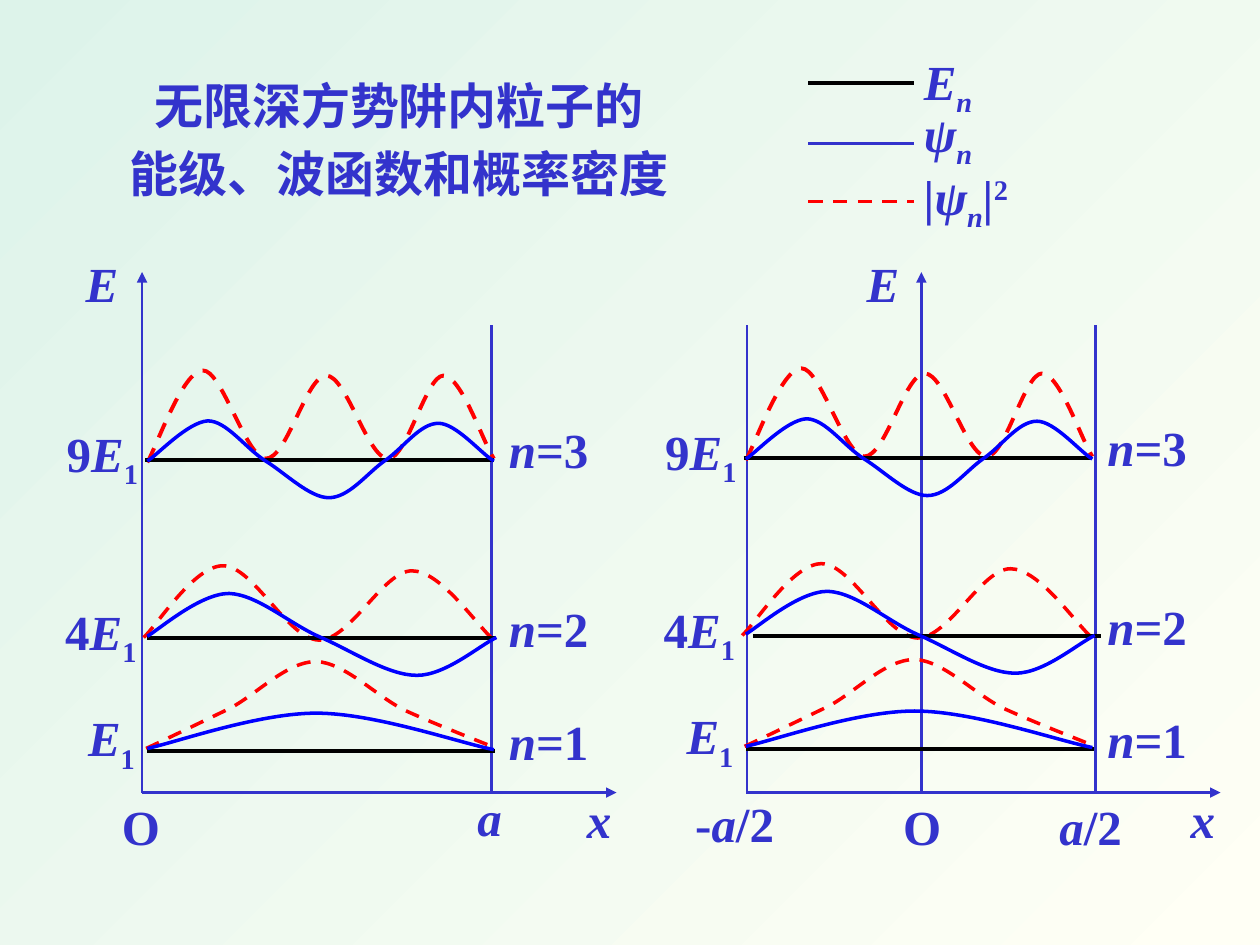
from dataclasses import dataclass

from lxml import etree
from pptx import Presentation
from pptx.dml.color import RGBColor
from pptx.enum.dml import MSO_LINE
from pptx.enum.shapes import MSO_CONNECTOR
from pptx.enum.text import MSO_ANCHOR, MSO_AUTO_SIZE, PP_ALIGN
from pptx.oxml.ns import qn
from pptx.util import Pt

STRAIGHT = MSO_CONNECTOR.STRAIGHT
DASH = MSO_LINE.DASH
CENTER = PP_ALIGN.CENTER
MIDDLE = MSO_ANCHOR.MIDDLE
FIT_SHAPE = MSO_AUTO_SIZE.SHAPE_TO_FIT_TEXT
NO_FIT = MSO_AUTO_SIZE.NONE


@dataclass(frozen=True)
class Theme:
    ink: RGBColor = RGBColor(0x33, 0x33, 0xCC)
    energy: RGBColor = RGBColor(0, 0, 0)
    wave: RGBColor = RGBColor(0, 0, 0xFF)
    density: RGBColor = RGBColor(0xFF, 0, 0)
    background: tuple = (RGBColor(0xDD, 0xF3, 0xEA), RGBColor(0xFF, 0xFF, 0xF5))
    font: str = "Times New Roman"
    size: int = 28


theme = Theme()
presentation = Presentation()
presentation.slide_width, presentation.slide_height = Pt(720), Pt(540)
slide = presentation.slides.add_slide(presentation.slide_layouts[5])

background = slide.background.fill
background.gradient()
background.gradient_angle = 315
for stop, color in zip(background.gradient_stops, theme.background):
    stop.color.rgb = color


def add_stroke(points, color, width, dashed=False, arrow=False):
    """Draw a straight line through two points, or a Bezier curve through 3n + 1."""
    points = [(Pt(x), Pt(y)) for x, y in points]
    if len(points) == 2:
        shape = slide.shapes.add_connector(STRAIGHT, *points[0], *points[1])
    else:
        builder = slide.shapes.build_freeform(*points[0])
        builder.add_line_segments(points[1:], close=False)
        shape = builder.convert_to_shape()
        shape.fill.background()
        shape.shadow.inherit = False
        segments = list(shape.element.iter(qn("a:lnTo")))
        for start in range(0, len(segments), 3):
            curve = etree.SubElement(segments[start].getparent(), qn("a:cubicBezTo"))
            for segment in segments[start:start + 3]:
                curve.append(segment[0])
                segment.getparent().remove(segment)
    shape.line.color.rgb = color
    shape.line.width = Pt(width)
    if dashed:
        shape.line.dash_style = DASH
    if arrow:
        etree.SubElement(shape.line._get_or_add_ln(), qn("a:tailEnd"), type="triangle")
    if len(points) == 2:
        etree.SubElement(shape.element.spPr, qn("a:effectLst"))


def add_label(left, top, width, runs):
    """Add one line of text; each run is (text, italic, baseline percent)."""
    box = slide.shapes.add_textbox(Pt(left), Pt(top), Pt(width), Pt(41))
    box.text_frame.word_wrap = False
    box.text_frame.auto_size = FIT_SHAPE
    paragraph = box.text_frame.paragraphs[0]
    for text, italic, baseline in runs:
        run = paragraph.add_run()
        run.text = text
        run.font.italic = italic
        if baseline:
            run.font._element.set("baseline", str(baseline * 1000))
    paragraph.font.name = theme.font
    paragraph.font.size = Pt(theme.size)
    paragraph.font.bold = True
    paragraph.font.color.rgb = theme.ink


# Title
title = slide.shapes.title
title.left, title.top, title.width, title.height = Pt(66), Pt(35), Pt(324), Pt(84)
title.text_frame.text = "无限深方势阱内粒子的\n能级、波函数和概率密度"
title.text_frame.word_wrap = False
title.text_frame.auto_size = NO_FIT
title.text_frame.vertical_anchor = MIDDLE
for paragraph in title.text_frame.paragraphs:
    paragraph.alignment = CENTER
    paragraph.line_spacing = 1.15
    paragraph.font.name = theme.font
    paragraph.font.size = Pt(theme.size)
    paragraph.font.bold = True
    paragraph.font.color.rgb = theme.ink

# Legend
sub_n = ("n", True, -25)
legend = [
    (47.5, theme.energy, False, 25.9, 44, [("E", True, 0), sub_n]),
    (82, theme.ink, False, 55.4, 53, [("ψ", True, 0), sub_n]),
    (115.2, theme.density, True, 91.4, 75,
     [("|ψ", True, 0), sub_n, ("|", True, 0), ("2", False, 30)]),
]
for y, color, dashed, label_top, label_width, runs in legend:
    add_stroke([(462, y), (522, y)], color, 2, dashed)
    add_label(520.8, label_top, label_width, runs)

# Levels of the left well: energy, label places, wave function, probability density
levels = [
    dict(n=1, energy=429.3, start=84.2, end=283, prefix="", label=(43.2, 401), width=42.5,
         n_top=403.2, density_width=2,
         wave=[(84.2, 427.7), (100.8, 424.1), (147.6, 407.5), (180.7, 407.5),
               (213.8, 407.5), (261.4, 424.1), (282.2, 428.4)],
         density=[(83.5, 427.7), (91.4, 424.1), (115.2, 412.6), (131.8, 404.6),
                  (147.6, 396), (164.2, 378), (180.7, 378), (197.3, 378.7),
                  (215.3, 398.2), (231.8, 406.1), (249.1, 414), (271.4, 422.6),
                  (282.2, 427)]),
    dict(n=2, energy=364.5, start=84.2, end=283, prefix="4", label=(30.2, 340), width=57,
         n_top=338.4, density_width=2,
         wave=[(84.2, 363.6), (91.4, 359.3), (114.5, 339.1), (131, 339.1),
               (147.6, 339.8), (166.3, 357.1), (183.6, 364.3), (201.6, 372.2),
               (221.8, 385.9), (238.3, 385.9), (254.9, 385.9), (274.3, 368.6),
               (283.7, 364.3)],
         density=[(82.1, 364.3), (90, 357.1), (110.9, 323.3), (127.4, 323.3),
                  (144.7, 323.3), (164.2, 365), (182.2, 365.8), (200.2, 365.8),
                  (218.9, 326.2), (235.4, 326.2), (252, 326.2), (272.2, 357.1),
                  (282.2, 365.8)]),
    dict(n=3, energy=262.8, start=83, end=282.2, prefix="9", label=(31, 238.3), width=57,
         n_top=236.2, density_width=2.25,
         wave=[(84.2, 263.5), (90, 259.9), (107.3, 241.2), (118.8, 240.5),
               (129.6, 240.5), (140.4, 256.3), (151.9, 263.5), (163.4, 270.7),
               (177.1, 284.4), (187.9, 284.4), (199.4, 284.4), (209.5, 270.7),
               (219.6, 263.5), (230.4, 256.3), (239.8, 241.9), (250.6, 241.9),
               (260.6, 241.9), (275, 259.2), (282.2, 263.5)],
         density=[(84.2, 264.2), (89.3, 255.6), (104.4, 211.7), (115.9, 211.7),
                  (126.7, 211), (140.4, 261.4), (151.9, 262.1), (164.2, 262.1),
                  (175, 214.6), (186.5, 214.6), (198, 214.6), (210.2, 262.1),
                  (221.8, 262.1), (232.6, 262.1), (243.4, 214.6), (253.4, 214.6),
                  (263.5, 214.6), (275.8, 252), (282.2, 262.1)]),
]

# Wells: shift of the levels, extra shift of the n=2 energy line, axes, walls, labels
FLOOR, AXIS_TOP, WALL_TOP = 452.9, 155.5, 185.8
wells = [
    dict(dx=0, dy=0, nudge=0, axis=81.2, floor=(81.2, 352.3), walls=[280.8],
         labels=[(41.8, 141.1, 33, [("E", True, 0)]),
                 (62.6, 451.4, 36, [("O", False, 0)]),
                 (265.7, 446.4, 29, [("a", True, 0)]),
                 (328.3, 447.8, 29, [("x", True, 0)])]),
    dict(dx=342, dy=-1.2, nudge=4.3, axis=526.5, floor=(426.4, 697.5), walls=[426.8, 625.9],
         labels=[(488.2, 141.1, 33, [("E", True, 0)]),
                 (509, 451.4, 36, [("O", False, 0)]),
                 (598.3, 451.4, 50.4, [("a", True, 0), ("/2", False, 0)]),
                 (673.2, 447.8, 29, [("x", True, 0)]),
                 (390.2, 450, 60, [("-", False, 0), ("a", True, 0), ("/2", False, 0)])]),
]
for well in wells:
    dx, dy = well["dx"], well["dy"]
    add_stroke([(well["axis"], FLOOR), (well["axis"], AXIS_TOP)], theme.ink, 1.5, arrow=True)
    add_stroke([(x, FLOOR) for x in well["floor"]], theme.ink, 1.5, arrow=True)
    for x in well["walls"]:
        add_stroke([(x, FLOOR), (x, WALL_TOP)], theme.ink, 1.5)
    for label in well["labels"]:
        add_label(*label)

    for level in levels:
        density, wave = ([(x + dx, y + dy) for x, y in level[curve]]
                         for curve in ("density", "wave"))
        nudge = well["nudge"] if level["n"] == 2 else 0
        energy = [(x + dx + nudge, level["energy"] + dy)
                  for x in (level["start"], level["end"])]
        add_stroke(density, theme.density, level["density_width"], dashed=True)
        add_stroke(energy, theme.energy, 2)
        add_stroke(wave, theme.wave, 2)
        left, top = level["label"]
        runs = [("E", True, 0), ("1", False, -25)]
        if level["prefix"]:
            runs.insert(0, (level["prefix"], False, 0))
        add_label(left + dx, top + dy, level["width"], runs)
        add_label(283.7 + dx, level["n_top"] + dy, 60.5,
                  [("n", True, 0), (f"={level['n']}", False, 0)])

presentation.save("out.pptx")
